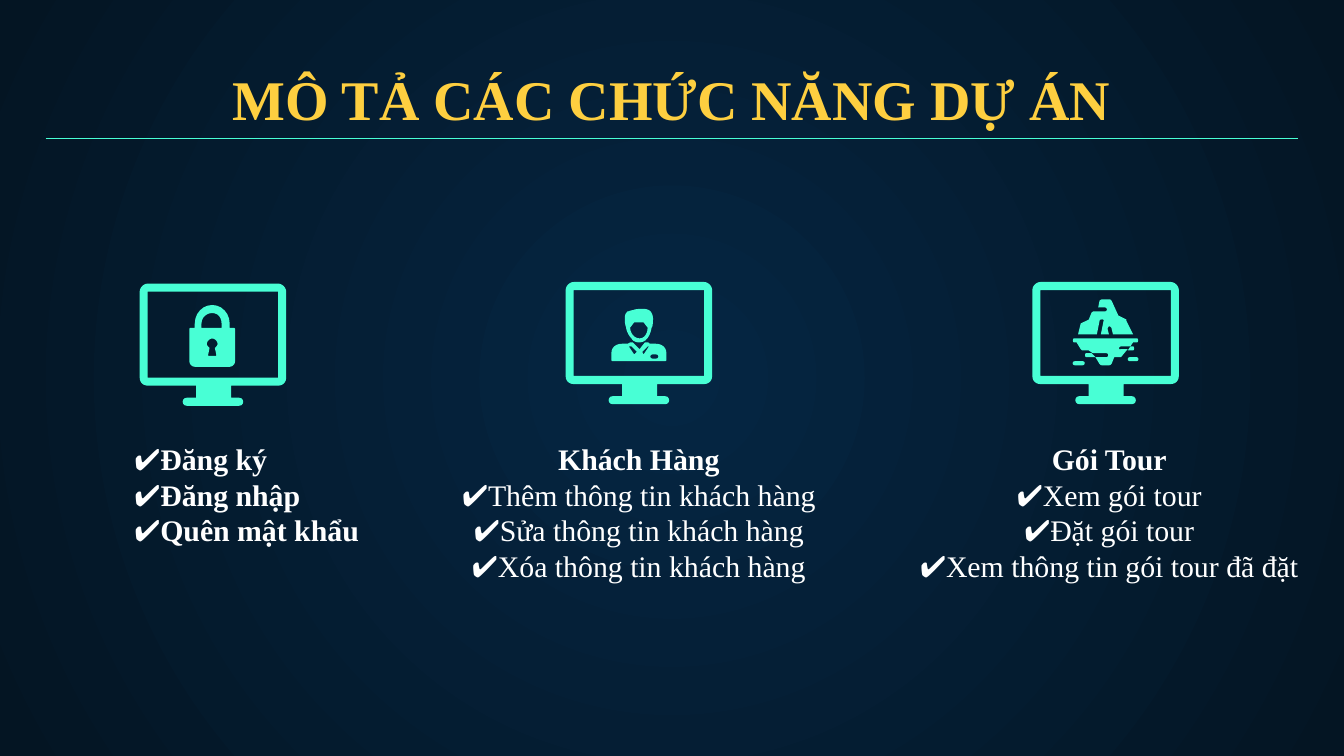
from lxml.etree import SubElement
from pptx import Presentation
from pptx.dml.color import RGBColor as RGB
from pptx.enum.shapes import MSO_CONNECTOR as CONN
from pptx.enum.text import MSO_ANCHOR as ANCHOR, MSO_AUTO_SIZE as FIT, PP_ALIGN as ALIGN
from pptx.oxml.ns import qn
from pptx.util import Cm, Pt

COLORS = {"teal": "48FFD5", "white": "FFFFFF", "gold": "FECF40", "bronze": "846C21",
          "navy": "052643", "night": "041523"}
UNIT = Cm(0.0254)  # icon coordinates
FINE = 100         # subdivisions of a unit kept by the outlines
STEPS = 6          # straight pieces per curve


def pill(left, top, right, bottom):
    """Closed bar with rounded ends."""
    r = (bottom - top) / 2
    a, b = left + r, right - r
    k = r * 4 / 3
    return [(a, top), (b, top), (b + k, top, b + k, bottom, b, bottom),
            (a, bottom), (a - k, bottom, a - k, top, a, top)]


def flatten(contour):
    """Points of a contour; six-number items are Bezier curves."""
    pts = [contour[0]]
    for item in contour[1:]:
        if len(item) == 2:
            pts.append(item)
            continue
        x0, y0 = pts[-1]
        x1, y1, x2, y2, x3, y3 = item
        for i in range(1, STEPS + 1):
            t = i / STEPS
            u = 1 - t
            a, b, c, d = u**3, 3 * u * u * t, 3 * u * t * t, t**3
            pts.append((a * x0 + b * x1 + c * x2 + d * x3,
                        a * y0 + b * y1 + c * y2 + d * y3))
    return [(x * FINE, y * FINE) for x, y in pts]


# Icons: lists of shapes, each a list of contours
MONITOR = [[
    [(6, 0), (103, 0), (106, 0, 109, 3, 109, 6), (109, 70), (109, 74, 106, 76, 103, 76),
     (68, 76), (68, 85), (74, 85), (78, 85, 78, 91, 74, 91), (35, 91),
     (31, 91, 31, 85, 35, 85), (42, 85), (42, 76), (6, 76), (3, 76, 0, 74, 0, 70),
     (0, 6), (0, 3, 3, 0, 6, 0)],
    [(6, 6), (103, 6), (103, 70), (6, 70)],
]]
PADLOCK = [[
    [(54, 16), (47, 16, 41, 22, 41, 30), (41, 33), (38, 33), (37, 33, 37, 34, 37, 34),
     (37, 58), (37, 60, 39, 62, 41, 62), (67, 62), (69, 62, 71, 60, 71, 58), (71, 34),
     (71, 33, 70, 33, 70, 33), (67, 33), (67, 30), (67, 22, 61, 16, 54, 16)],
    [(54, 22), (58, 22, 61, 25, 61, 30), (61, 33), (46, 33), (46, 30), (46, 25, 50, 22, 54, 22)],
    [(54, 41), (56, 41, 58, 43, 58, 45), (58, 46, 57, 47, 56, 48), (57, 53),
     (57, 54, 57, 54, 56, 54), (52, 54), (51, 54, 51, 54, 51, 53), (52, 48),
     (51, 47, 50, 46, 50, 45), (50, 43, 52, 41, 54, 41)],
]]
CUSTOMER = [
    [  # head
        [(57, 20), (55, 20, 52, 20, 50, 21), (48, 21, 47, 22, 46, 22), (45, 23, 44, 24, 44, 27),
         (44, 29, 44, 31, 45, 34), (45, 35, 46, 39, 49, 42), (50, 44, 52, 45, 55, 45),
         (60, 45, 63, 40, 64, 34), (65, 33, 65, 29, 65, 27), (65, 25, 64, 22, 62, 21),
         (60, 20, 59, 20, 57, 20)],
        [(58, 30), (61, 34), (61, 38, 59, 42, 55, 42), (51, 42, 48, 38, 48, 34), (51, 30)],
    ],
    [  # shoulders, collar and pocket
        [(49, 45), (47, 45, 47, 46, 46, 46), (42, 46), (37, 46, 34, 49, 34, 53), (34, 58),
         (34, 59, 35, 59, 36, 59), (73, 59), (74, 59, 75, 59, 75, 58), (75, 53),
         (75, 49, 72, 46, 67, 46), (63, 46), (62, 46, 62, 45, 61, 45), (59, 45),
         (55, 50), (50, 45)],
        [(49, 48), (53, 52), (51, 54), (47, 48)],
        [(61, 48), (62, 48), (58, 54), (57, 52)],
        pill(63, 54, 69, 57),
    ],
]
ICEBERG = [
    [[(31, 42), (30, 42, 30, 45, 31, 45), (33, 45), (36, 50), (36, 50, 37, 51, 37, 51),
      (42, 51), (45, 53), (55, 53), (57, 53, 57, 56, 55, 56), (47, 56), (50, 61),
      (51, 62, 51, 62, 52, 62), (57, 62), (58, 62, 58, 62, 59, 61), (61, 56), (66, 56),
      (71, 50), (66, 50), (64, 51, 64, 48, 66, 48), (73, 48), (75, 45), (78, 45),
      (79, 45, 79, 42, 78, 42)]],
    [[(40, 53), (39, 53, 39, 56, 40, 56), (47, 56), (44, 53)]],
    [[(73, 48), (71, 51), (75, 51), (76, 51, 76, 48, 75, 48)]],
    [pill(71, 56, 79, 59)],
    [pill(30, 59, 39, 62)],
    [[(52, 13), (51, 13, 50, 14, 50, 14), (49, 19), (54, 19), (56, 19, 56, 22, 54, 22),
      (46, 22), (45, 22, 45, 22, 44, 23), (42, 28), (36, 31), (34, 39), (48, 39), (50, 29),
      (50, 28, 51, 28, 52, 28), (53, 28, 53, 28, 53, 29), (51, 39), (57, 39), (56, 35),
      (56, 34, 57, 33, 57, 33), (58, 33, 59, 34, 59, 35), (60, 39), (75, 39), (70, 29),
      (70, 28), (64, 25), (59, 14), (58, 13, 58, 13, 57, 13)]],
]


class Deck:
    font = "Times New Roman"

    def __init__(self, prs):
        self.s = prs.slides.add_slide(prs.slide_layouts[6])

    def gradient(self, fill, *names):
        fill.gradient()
        for stop, name in zip(fill.gradient_stops, names):
            stop.color.rgb = RGB.from_string(COLORS[name])

    def background(self, inner, outer):
        self.gradient(self.s.background.fill, inner, outer)
        grad = self.s._element.find(".//" + qn("a:gradFill"))
        grad.remove(grad.find(qn("a:lin")))
        circle = SubElement(grad, qn("a:path"), path="circle")
        SubElement(circle, qn("a:fillToRect"), l="50000", t="50000", r="50000", b="50000")

    def textbox(self, left, top, width, height):
        return self.s.shapes.add_textbox(Cm(left), Cm(top), Cm(width), Cm(height)).text_frame

    def run(self, p, text, size, bold):
        r = p.add_run()
        r.text = text
        r.font.name, r.font.size, r.font.bold = self.font, Pt(size), bold
        return r

    def title(self, text, left, top, width, height):
        tf = self.textbox(left, top, width, height)
        tf.word_wrap, tf.vertical_anchor = True, ANCHOR.BOTTOM
        p = tf.paragraphs[0]
        p.alignment = ALIGN.CENTER
        fill = self.run(p, text, 30, True).font.fill
        self.gradient(fill, "gold", "bronze")
        fill.gradient_angle = 0

    def rule(self, left, right, y):
        ln = self.s.shapes.add_connector(CONN.STRAIGHT, Cm(left), Cm(y), Cm(right), Cm(y))
        ln.line.color.rgb = RGB.from_string(COLORS["teal"])
        ln.line.width = Pt(0.75)
        SubElement(ln._element.spPr, qn("a:effectLst"))

    def features(self, lines, left, width, height, align):
        tf = self.textbox(left, 8.2, width, height)
        tf.word_wrap, tf.auto_size = False, FIT.SHAPE_TO_FIT_TEXT
        for i, runs in enumerate(lines):
            p = tf.add_paragraph() if i else tf.paragraphs[0]
            p.alignment = align
            for text, bold in runs:
                r = self.run(p, text, 16, bold)
                r.font.color.rgb = RGB.from_string(COLORS["white"])

    def icon(self, parts, left, top):
        for part in parts:
            first, *rest = [flatten(c) for c in part]
            fb = self.s.shapes.build_freeform(*first[0], scale=UNIT / FINE)
            fb.add_line_segments(first[1:])
            for pts in rest:
                fb.move_to(*pts[0])
                fb.add_line_segments(pts[1:])
            sp = fb.convert_to_shape(Cm(left), Cm(top))
            sp.shadow.inherit = False
            sp.fill.solid()
            sp.fill.fore_color.rgb = RGB.from_string(COLORS["teal"])
            sp.line.fill.background()


def main():
    prs = Presentation()
    prs.slide_width, prs.slide_height = Cm(25.4), Cm(14.29)
    deck = Deck(prs)
    deck.background("navy", "night")

    # Heading
    deck.title("MÔ TẢ CÁC CHỨC NĂNG DỰ ÁN", 0.86, 0.94, 23.67, 1.68)
    deck.rule(0.86, 24.54, 2.62)

    # Icons on monitors
    for symbol, left, top in [(PADLOCK, 2.64, 5.36), (CUSTOMER, 10.69, 5.33),
                              (ICEBERG, 19.51, 5.33)]:
        deck.icon(MONITOR, left, top)
        deck.icon(symbol, left, top)

    # Feature lists
    account = ["Đăng ký", "Đăng nhập", "Quên mật khẩu"]
    deck.features([[("✔", False), (t, True)] for t in account], 2.29, 4.83, 2.31, ALIGN.LEFT)
    for head, items, left, width in [
        ("Khách Hàng", ["Thêm thông tin khách hàng", "Sửa thông tin khách hàng",
                        "Xóa thông tin khách hàng"], 8.43, 7.29),
        ("Gói Tour", ["Xem gói tour", "Đặt gói tour", "Xem thông tin gói tour đã đặt"],
         17.09, 7.75),
    ]:
        lines = [[(head, True)]] + [[("✔" + t, False)] for t in items]
        deck.features(lines, left, width, 3, ALIGN.CENTER)

    prs.save("out.pptx")


if __name__ == "__main__":
    main()
